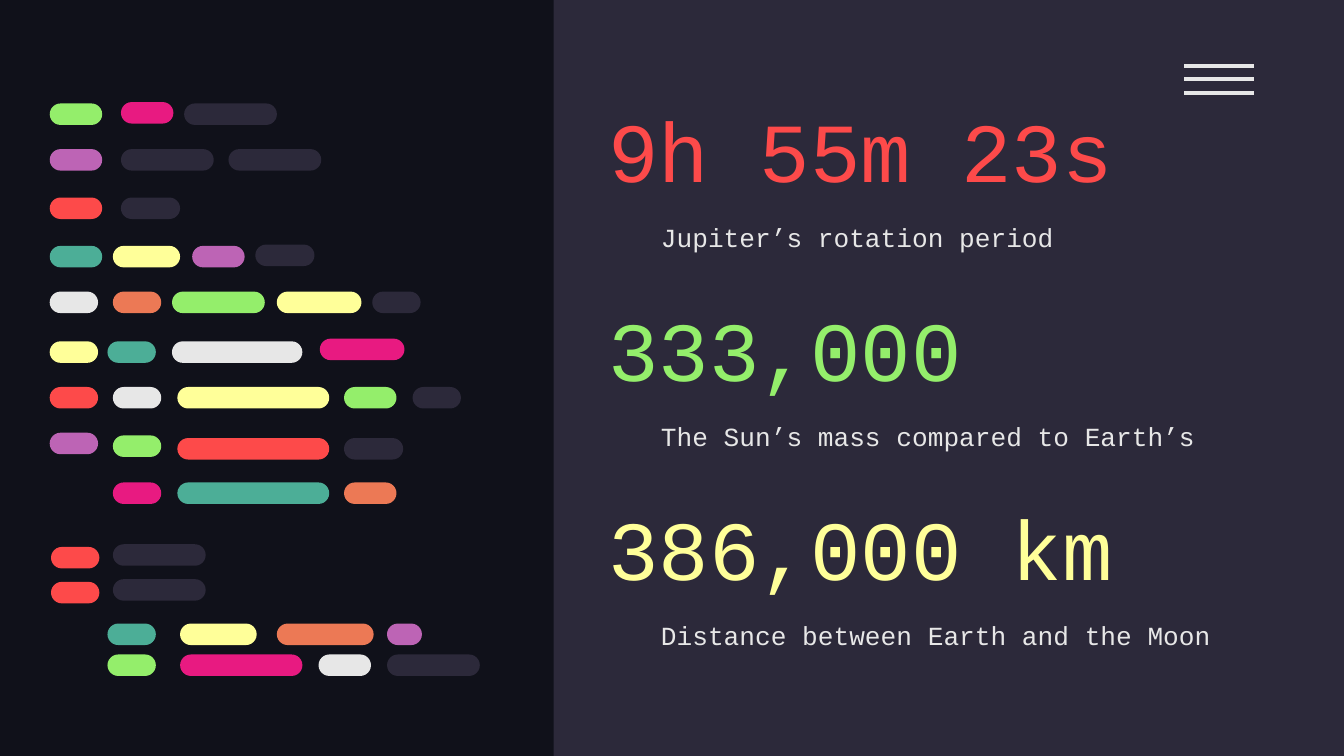
"""Build a slide of three space facts beside a panel of stylised code."""
from lxml import etree
from pptx import Presentation
from pptx import util as u
from pptx.dml.color import RGBColor
from pptx.enum import shapes, text
from pptx.oxml.ns import qn

COLORS = {
    "night": "10111A", "slate": "2C293A", "white": "E7E7E7", "red": "FD4A4A",
    "green": "94EE6B", "yellow": "FFFF99", "pink": "E81A81", "purple": "BD64B5",
    "teal": "4CAE97", "orange": "EC7955",
}
FACTS = [
    ("9h 55m 23s", "Jupiter’s rotation period", "red"),
    ("333,000", "The Sun’s mass compared to Earth’s", "green"),
    ("386,000 km", "Distance between Earth and the Moon", "yellow"),
]
CODE_LINES = [
    (0.77, [(0.37, 0.39, "green"), (1.37, 0.69, "slate")]),
    (0.76, [(0.9, 0.39, "pink")]),
    (1.11, [(0.37, 0.39, "purple"), (0.9, 0.69, "slate"), (1.7, 0.69, "slate")]),
    (1.47, [(0.37, 0.39, "red"), (0.9, 0.44, "slate")]),
    (1.83, [(0.37, 0.39, "teal"), (0.84, 0.5, "yellow"), (1.43, 0.39, "purple")]),
    (1.82, [(1.9, 0.44, "slate")]),
    (2.17, [(0.37, 0.36, "white"), (0.84, 0.36, "orange"), (1.28, 0.69, "green"),
            (2.06, 0.63, "yellow"), (2.77, 0.36, "slate")]),
    (2.54, [(0.37, 0.36, "yellow"), (0.8, 0.36, "teal"), (1.28, 0.97, "white")]),
    (2.52, [(2.38, 0.63, "pink")]),
    (2.88, [(0.37, 0.36, "red"), (0.84, 0.36, "white"), (1.32, 1.13, "yellow"),
            (2.56, 0.39, "green"), (3.07, 0.36, "slate")]),
    (3.22, [(0.37, 0.36, "purple")]),
    (3.24, [(0.84, 0.36, "green")]),
    (3.26, [(1.32, 1.13, "red"), (2.56, 0.44, "slate")]),
    (3.59, [(0.84, 0.36, "pink"), (1.32, 1.13, "teal"), (2.56, 0.39, "orange")]),
    (4.05, [(0.84, 0.69, "slate")]),
    (4.07, [(0.38, 0.36, "red")]),
    (4.31, [(0.84, 0.69, "slate")]),
    (4.33, [(0.38, 0.36, "red")]),
    (4.64, [(0.8, 0.36, "teal"), (1.34, 0.57, "yellow"), (2.06, 0.72, "orange"),
            (2.88, 0.26, "purple")]),
    (4.87, [(0.8, 0.36, "green"), (1.34, 0.91, "pink"), (2.37, 0.39, "white"),
            (2.88, 0.69, "slate")]),
]
SLIDE_WIDTH = 10
SLIDE_HEIGHT = SLIDE_WIDTH * 9 / 16
PANEL_LEFT = 4.12
TOKEN_HEIGHT = 0.16
FACT_TOP, FACT_STEP = 0.69, 1.48
MENU_TOP, MENU_STEP, MENU_BARS = 0.49, 0.1, 3
FRAME_FORMAT = {
    "word_wrap": True, "vertical_anchor": text.MSO_ANCHOR.MIDDLE,
    "margin_left": u.Inches(0.1), "margin_right": u.Inches(0.1),
    "margin_top": u.Inches(0.1), "margin_bottom": u.Inches(0.1),
}


def rgb(color):
    return RGBColor.from_string(COLORS[color])


def apply(target, formats):
    for name, value in formats.items():
        setattr(target, name, value)


def add_block(slide, kind, box, color):
    block = slide.shapes.add_shape(kind, *map(u.Inches, box))
    block.shadow.inherit = False
    block.fill.solid()
    block.fill.fore_color.rgb = rgb(color)
    block.line.fill.background()
    return block


def add_text(slide, words, box, size, color, spacing):
    frame = slide.shapes.add_textbox(*map(u.Inches, box)).text_frame
    apply(frame, FRAME_FORMAT)
    paragraph = frame.paragraphs[0]
    paragraph.line_spacing = spacing
    run = paragraph.add_run()
    run.text = words
    apply(run.font, {"name": "Courier New", "size": u.Pt(size)})
    run.font.color.rgb = rgb(color)


def add_menu(slide):
    for index in range(MENU_BARS):
        y = MENU_TOP + index * MENU_STEP
        bar = slide.shapes.add_connector(
            shapes.MSO_CONNECTOR.STRAIGHT, *map(u.Inches, (8.81, y, 9.33, y)))
        bar.line.color.rgb = rgb("white")
        bar.line.width = u.Pt(2.25)
        etree.SubElement(bar._element.spPr, qn("a:effectLst"))


def main():
    deck = Presentation()
    apply(deck, {"slide_width": u.Inches(SLIDE_WIDTH),
                 "slide_height": u.Inches(SLIDE_HEIGHT)})
    slide = deck.slides.add_slide(deck.slide_layouts[6])
    slide.background.fill.solid()
    slide.background.fill.fore_color.rgb = rgb("night")

    panel = (PANEL_LEFT, 0, SLIDE_WIDTH - PANEL_LEFT, SLIDE_HEIGHT)
    add_block(slide, shapes.MSO_SHAPE.RECTANGLE, panel, "slate")
    add_menu(slide)
    for index, (figure, caption, color) in enumerate(FACTS):
        top = FACT_TOP + index * FACT_STEP
        add_text(slide, figure, (4.43, top, 4.4, 0.84), 45, color, 1.0)
        add_text(slide, caption, (4.82, top + 0.73, 4.4, 0.65), 14, "white", 1.15)
    for top, tokens in CODE_LINES:
        for left, width, color in tokens:
            token = add_block(slide, shapes.MSO_SHAPE.ROUNDED_RECTANGLE,
                              (left, top, width, TOKEN_HEIGHT), color)
            token.adjustments[0] = 0.5
    deck.save("out.pptx")


if __name__ == "__main__":
    main()
